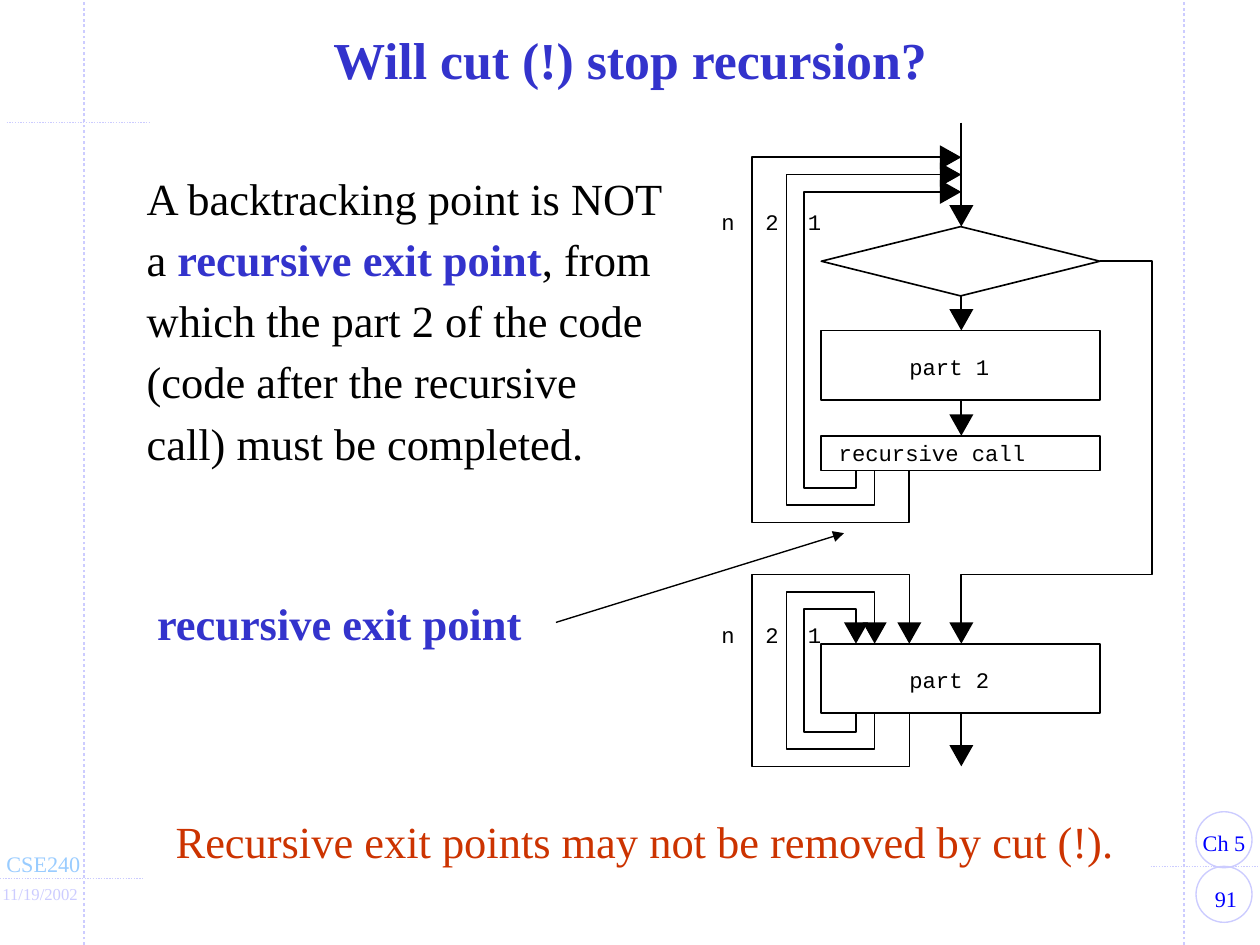
"""Builds the slide on cut and recursion with its flow diagram."""
import pptx
import pptx.dml.color
import pptx.enum.dml
import pptx.enum.shapes
import pptx.enum.text
import pptx.oxml.ns
import pptx.util
import lxml.etree

Inches, Pt = pptx.util.Inches, pptx.util.Pt
RGB = pptx.dml.color.RGBColor.from_string
ALIGN = pptx.enum.text.PP_ALIGN
ANCHOR = pptx.enum.text.MSO_ANCHOR
SHAPE = pptx.enum.shapes.MSO_SHAPE
qn = pptx.oxml.ns.qn

THEME = {
    "serif": "Times New Roman", "mono": "Courier New",
    "title": 28, "body": 24, "small": 12, "date": 9,
    "ink": "000000", "paper": "FFFFFF", "accent": "3333CC", "warning": "CC3300",
    "link": "0000FF", "course": "99CCFF", "rule": "CCCCFF",
    "flow": 0.88, "thin": 0.75, "thick": 1.5,
}

prs = pptx.Presentation()
prs.slide_width, prs.slide_height = Inches(9.45), Inches(7.09)
s = prs.slides.add_slide(prs.slide_layouts[1])


def add_text(sp, box, runs, size, font="serif", align=ALIGN.LEFT, wrap=False,
             spacing=1.0, inset=True, anchor=ANCHOR.TOP):
    """Fill a text shape, or a new text box, with one paragraph of runs."""
    left, top, width, height = map(Inches, box)
    if sp is None:
        sp = s.shapes.add_textbox(left, top, width, height)
    sp.left, sp.top, sp.width, sp.height = left, top, width, height
    tf = sp.text_frame
    tf.word_wrap, tf.vertical_anchor = wrap, anchor
    tf.auto_size = pptx.enum.text.MSO_AUTO_SIZE.NONE
    tf.margin_left = tf.margin_right = Inches(0.1 if inset else 0)
    tf.margin_top = tf.margin_bottom = Inches(0.05 if inset else 0)
    p = tf.paragraphs[0]
    pPr = p._p.get_or_add_pPr()
    pPr.set("marL", "0")
    pPr.set("indent", "0")
    lxml.etree.SubElement(pPr, qn("a:buNone"))
    p.alignment, p.line_spacing, p.space_before = align, spacing, Pt(0)
    for text, color, bold in runs:
        r = p.add_run()
        r.text = text
        r.font.name, r.font.size, r.font.bold = THEME[font], Pt(THEME[size]), bold
        r.font.color.rgb = RGB(THEME[color])


def add_path(points, solid=False):
    """Draw an open flow line, or a solid arrowhead, through the points."""
    points = [(Inches(x), Inches(y)) for x, y in points]
    builder = s.shapes.build_freeform(*points[0], scale=1.0)
    builder.add_line_segments(points[1:], close=solid)
    sp = builder.convert_to_shape()
    sp.shadow.inherit = False
    if solid:
        sp.fill.solid()
        sp.fill.fore_color.rgb = RGB(THEME["ink"])
        sp.line.fill.background()
    else:
        sp.fill.background()
        sp.line.color.rgb = RGB(THEME["ink"])
        sp.line.width = Pt(THEME["flow"])


add_text(s.shapes.title, (0.69, 0.13, 8.07, 0.7),
         [("Will cut (!) stop recursion?", "accent", True)], "title",
         align=ALIGN.CENTER, wrap=True, spacing=0.85, anchor=ANCHOR.MIDDLE)
add_text(s.placeholders[1], (1, 1.17, 4.08, 2.86),
         [("A backtracking point is NOT a ", "ink", False),
          ("recursive exit point", "accent", True),
          (", from which the part 2 of the code (code after the recursive call) "
           "must be completed.", "ink", False)], "body", wrap=True, spacing=1.15)

axis = 7.21
lines = [
    (0.63, 7.09, 0.63, 0, "rule", "thick"),
    (8.88, 7.09, 8.88, 0, "rule", "thick"),
    (0, 6.59, 1.08, 6.59, "rule", "thin"),
    (8.63, 6.5, 9.45, 6.5, "rule", "thin"),
    (0.05, 0.92, 1.13, 0.92, "rule", "thin"),
    (axis, 0.92, axis, 1.57, "ink", "flow"),
    (axis, 2.22, axis, 2.35, "ink", "flow"),
    (axis, 3.01, axis, 3.14, "ink", "flow"),
    (axis, 5.36, axis, 5.62, "ink", "flow"),
    (4.17, 4.67, 6.33, 4, "ink", "thin"),
]
for x1, y1, x2, y2, color, width in lines:
    cn = s.shapes.add_connector(pptx.enum.shapes.MSO_CONNECTOR.STRAIGHT,
                                Inches(x1), Inches(y1), Inches(x2), Inches(y2))
    cn.line.color.rgb = RGB(THEME[color])
    cn.line.width = Pt(THEME[width])
    if color == "rule":
        cn.line.dash_style = pptx.enum.dml.MSO_LINE.ROUND_DOT
    elif x1 != x2:
        lxml.etree.SubElement(cn.line._get_or_add_ln(), qn("a:tailEnd"), type="triangle")
    lxml.etree.SubElement(cn._element.spPr, qn("a:effectLst"))

loops = [("1", 6.06, 6.03, 6.42, 0.13), ("2", 5.74, 5.9, 6.56, 0.26),
         ("n", 5.41, 5.64, 6.82, 0.39)]
down_tips = [(axis, y) for y in (1.7, 2.48, 3.27, 4.83, 5.75)]
right_tips = []
for label, label_x, left, leg, reach in loops:
    add_path([(leg, 3.53), (leg, 3.53 + reach), (left, 3.53 + reach),
              (left, 1.57 - reach), (7.08, 1.57 - reach)])
    add_path([(leg, 5.36), (leg, 5.36 + reach), (left, 5.36 + reach),
              (left, 4.7 - reach), (leg, 4.7 - reach), (leg, 4.71)])
    right_tips.append((axis, 1.57 - reach))
    down_tips.append((leg, 4.83))
    for top in (1.56, 4.66):
        add_text(None, (label_x, top, 0.1, 0.2), [(label, "ink", False)],
                 "small", "mono", inset=False)
add_path([(8.25, 1.96), (8.64, 1.96), (8.64, 4.31), (axis, 4.31), (axis, 4.71)])

for x, y in down_tips:
    add_path([(x - 0.09, y - 0.16), (x, y), (x + 0.09, y - 0.16)], solid=True)
for x, y in right_tips:
    add_path([(x - 0.16, y - 0.09), (x, y), (x - 0.16, y + 0.09)], solid=True)

shapes = [
    (SHAPE.DIAMOND, 6.16, 1.7, 2.09, 0.52, "ink", "flow"),
    (SHAPE.RECTANGLE, 6.16, 2.48, 2.09, 0.52, "ink", "flow"),
    (SHAPE.RECTANGLE, 6.16, 3.27, 2.09, 0.26, "ink", "flow"),
    (SHAPE.RECTANGLE, 6.16, 4.83, 2.09, 0.52, "ink", "flow"),
    (SHAPE.OVAL, 8.97, 6.09, 0.42, 0.42, "rule", "thin"),
    (SHAPE.OVAL, 8.97, 6.5, 0.42, 0.42, "rule", "thin"),
]
for kind, left, top, width, height, color, weight in shapes:
    sp = s.shapes.add_shape(kind, Inches(left), Inches(top), Inches(width), Inches(height))
    sp.shadow.inherit = False
    if color == "ink":
        sp.fill.solid()
        sp.fill.fore_color.rgb = RGB(THEME["paper"])
    else:
        sp.fill.background()
    sp.line.color.rgb = RGB(THEME[color])
    sp.line.width = Pt(THEME[weight])

for text, left, top, width in [("part 1", 6.82, 2.65, 0.6), ("part 2", 6.82, 5, 0.6),
                               ("recursive call", 6.29, 3.3, 1.41)]:
    add_text(None, (left, top, width, 0.2), [(text, "ink", False)],
             "small", "mono", inset=False)

add_text(None, (1.08, 4.42, 2.94, 0.5), [("recursive exit point", "accent", True)], "body")
add_text(None, (0.92, 6, 7.83, 0.56),
         [("Recursive exit points may not be removed by cut (!).", "warning", False)],
         "body", align=ALIGN.CENTER, wrap=True, spacing=1.15)
add_text(None, (8.92, 6.17, 0.52, 0.3), [("Ch 5", "link", False)], "small", align=ALIGN.CENTER)
add_text(None, (8.92, 6.59, 0.55, 0.3), [("91", "link", False)], "small",
         align=ALIGN.CENTER, wrap=True)
add_text(None, (-0.05, 6.33, 0.76, 0.3), [("CSE240", "course", False)], "small")
add_text(None, (-0.08, 6.58, 0.77, 0.25), [("11/19/2002", "rule", False)], "date")

prs.save("out.pptx")
